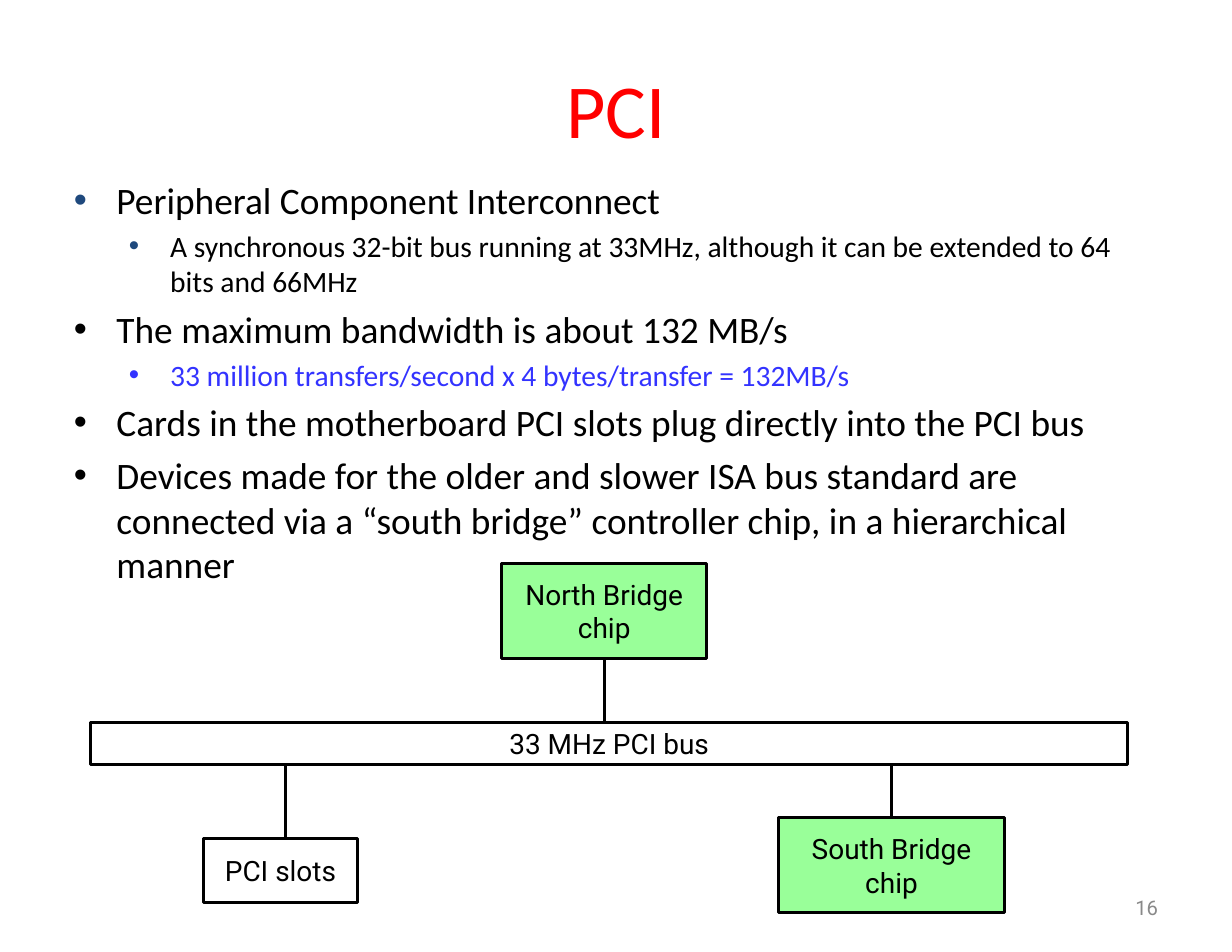
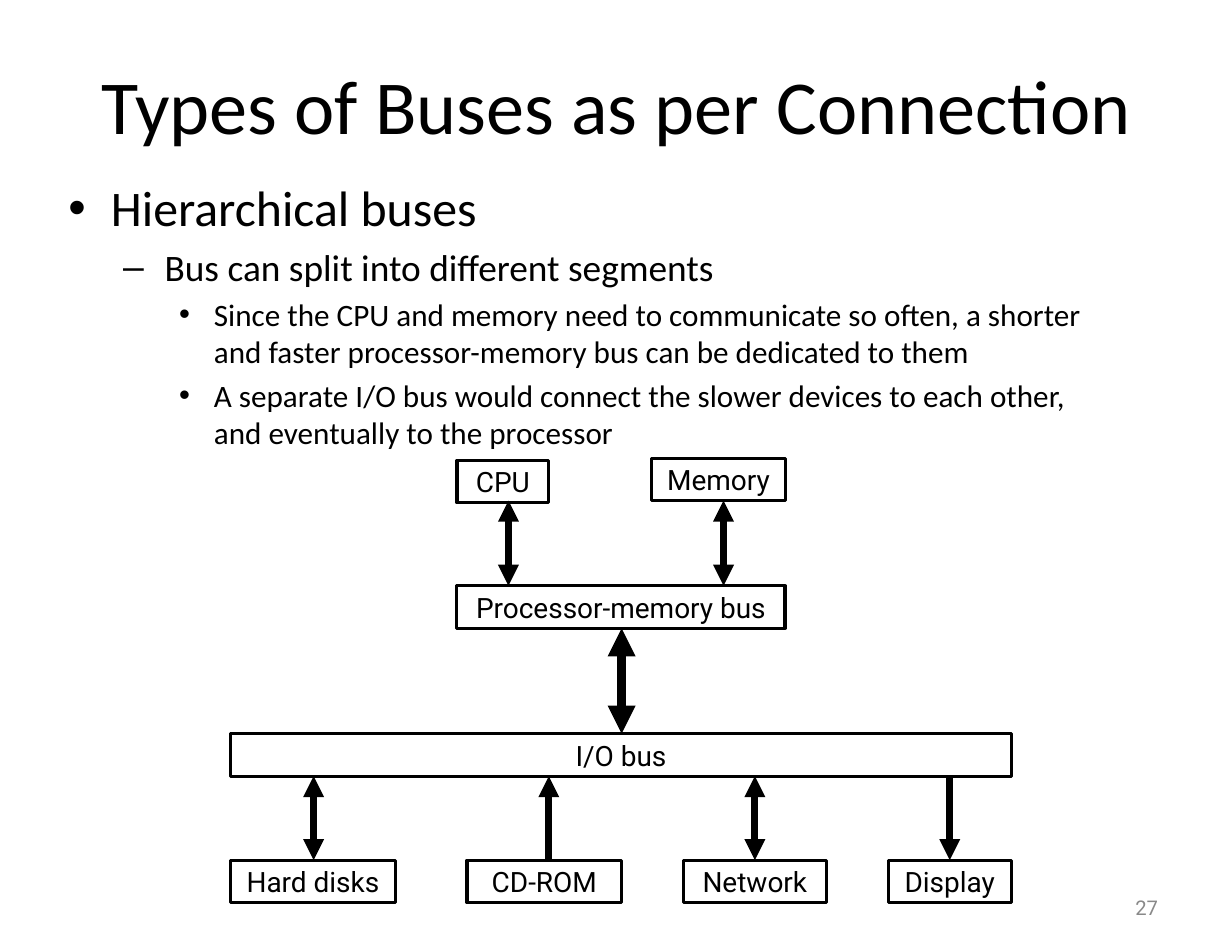
import pptx
import pptx.util
import pptx.dml.color
import pptx.enum.shapes
import pptx.enum.text
import pptx.oxml.ns
import lxml.etree

Inches = pptx.util.Inches
Pt = pptx.util.Pt
ALIGN = pptx.enum.text.PP_ALIGN
MIDDLE = pptx.enum.text.MSO_ANCHOR.MIDDLE
TOP = pptx.enum.text.MSO_ANCHOR.TOP
qn = pptx.oxml.ns.qn

# Shared look
BLACK, RED, BLUE, NAVY = "000000", "FF0000", "3333FF", "1F497D"
GREEN, GREY = "99FF99", "898989"
HEAD, LABEL = "Calibri", "Roboto"
LEVELS = [(0.38, -0.38), (0.86, -0.37), (1.3, -0.31)]


def color(code):
    return pptx.dml.color.RGBColor.from_string(code)


def write(frame, text, size=18, font=LABEL, ink=BLACK, align=ALIGN.CENTER,
          anchor=MIDDLE, pad=(0.1, 0.05), level=0, mark=None, tint=BLACK, gap=0):
    """Add one paragraph to the frame, using its empty first one if there is one."""
    frame.word_wrap = True
    frame.auto_size = pptx.enum.text.MSO_AUTO_SIZE.NONE
    frame.vertical_anchor = anchor
    frame.margin_left = frame.margin_right = Inches(pad[0])
    frame.margin_top = frame.margin_bottom = Inches(pad[1])
    para = frame.paragraphs[0] if not frame.text else frame.add_paragraph()
    para.level = level
    if mark:
        props = para._p.get_or_add_pPr()
        left, hang = LEVELS[level]
        props.set("marL", str(Inches(left)))
        props.set("indent", str(Inches(hang)))
        fill = lxml.etree.SubElement(props, qn("a:buClr"))
        lxml.etree.SubElement(fill, qn("a:srgbClr"), val=tint)
        lxml.etree.SubElement(props, qn("a:buFont"), typeface="Arial")
        lxml.etree.SubElement(props, qn("a:buChar"), char=mark)
    para.alignment = align
    para.space_before = Pt(gap)
    run = para.add_run()
    run.text = text
    run.font.size = Pt(size)
    run.font.name = font
    run.font.color.rgb = color(ink)


# Slide content
# points: text, level, size, mark, mark colour, text colour, space before
# boxes: left, top, width, height, fill, lines of text
# links: x, top, bottom, width, arrow ends
pci = {
    "title": "PCI", "ink": RED, "number": "16",
    "head": (0.55, 0.34, 9.9, 1.25), "body": (0.55, 1.52, 9.9, 6.08),
    "points": [
        ("Peripheral Component Interconnect", 0, 24, "•", NAVY, BLACK, 0),
        ("A synchronous 32-bit bus running at 33MHz, although it can be "
         "extended to 64 bits and 66MHz", 1, 19, "•", NAVY, BLACK, 3.8),
        ("The maximum bandwidth is about 132 MB/s", 0, 24, "•", BLACK, BLACK, 4.8),
        ("33 million transfers/second x 4 bytes/transfer = 132MB/s",
         1, 19, "•", BLUE, BLUE, 3.8),
        ("Cards in the motherboard PCI slots plug directly into the PCI bus",
         0, 24, "•", BLACK, BLACK, 4.8),
        ("Devices made for the older and slower ISA bus standard are connected "
         "via a “south bridge” controller chip, in a hierarchical manner",
         0, 24, "•", BLACK, BLACK, 4.8),
    ],
    "boxes": [
        (4.48, 5.03, 1.83, 0.85, GREEN, ["North Bridge", "chip"]),
        (6.95, 7.3, 2.02, 0.85, GREEN, ["South Bridge", "chip"]),
        (0.81, 6.45, 9.26, 0.38, None, ["33 MHz PCI bus"]),
        (1.82, 7.49, 1.37, 0.57, None, ["PCI slots"]),
    ],
    "links": [
        (7.96, 6.83, 7.3, 2, []),
        (2.55, 6.83, 7.49, 2, []),
        (5.4, 5.88, 6.45, 2, []),
    ],
}

up, down, both = ["headEnd"], ["tailEnd"], ["headEnd", "tailEnd"]
low, base, high = 6.93, 7.68, 0.38
buses = {
    "title": "Types of Buses as per Connection", "ink": BLACK, "number": "27",
    "head": (0.55, 0.34, 9.9, 1.18), "body": (0.5, 1.52, 9.38, 5.7),
    "points": [
        ("Hierarchical buses", 0, 32, "•", BLACK, BLACK, 0),
        ("Bus can split into different segments", 1, 24, "–", BLACK, BLACK, 4.8),
        ("Since the CPU and memory need to communicate so often, a shorter and "
         "faster processor-memory bus can be dedicated to them",
         2, 20, "•", BLACK, BLACK, 4),
        ("A separate I/O bus would connect the slower devices to each other, "
         "and eventually to the processor", 2, 20, "•", BLACK, BLACK, 4),
    ],
    "boxes": [
        (4.08, 4.11, 0.82, high, None, ["CPU"]),
        (5.82, 4.09, 1.19, high, None, ["Memory"]),
        (4.08, 5.23, 2.93, high, None, ["Processor-memory bus"]),
        (2.06, 6.55, 6.97, high, None, ["I/O bus"]),
    ],
    "links": [
        (5.55, 5.61, 6.55, 6, both),
        (4.54, 4.47, 5.23, 4.5, both),
        (6.46, 4.47, 5.23, 4.5, both),
    ],
}

# Devices under the I/O bus, each with its own link
for name, left, width, x, ends in [
    ("Hard disks", 2.06, 1.47, 2.8, both),
    ("CD-ROM", 4.17, 1.38, 4.9, up),
    ("Network", 6.1, 1.28, 6.74, both),
    ("Display", 7.93, 1.1, 8.48, down),
]:
    buses["boxes"].append((left, base, width, high, None, [name]))
    buses["links"].append((x, low, base, 4.5, ends))

deck = pptx.Presentation()
deck.slide_width = Inches(11)
deck.slide_height = Inches(8.5)

for page in [pci, buses]:
    slide = deck.slides.add_slide(deck.slide_layouts[1])
    shapes = slide.shapes

    # Title and list
    title, body = shapes.title, slide.placeholders[1]
    for holder, place in [(title, page["head"]), (body, page["body"])]:
        holder.left, holder.top, holder.width, holder.height = map(Inches, place)
    write(title.text_frame, page["title"], size=49, font=HEAD,
          ink=page["ink"], pad=(0.11, 0.06))
    for text, level, size, mark, tint, ink, gap in page["points"]:
        write(body.text_frame, text, size=size, font=HEAD, ink=ink,
              align=ALIGN.LEFT, anchor=TOP, pad=(0.11, 0.06),
              level=level, mark=mark, tint=tint, gap=gap)

    # Page number
    number = shapes.add_textbox(*map(Inches, (7.88, 7.88, 2.57, 0.45)))
    write(number.text_frame, page["number"], size=13, ink=GREY,
          align=ALIGN.RIGHT, pad=(0.11, 0.06))

    # Links
    for x, top, bottom, width, ends in page["links"]:
        link = shapes.add_connector(
            pptx.enum.shapes.MSO_CONNECTOR.STRAIGHT,
            Inches(x), Inches(top), Inches(x), Inches(bottom))
        link.line.width = Pt(width)
        link.line.color.rgb = color(BLACK)
        stroke = link.line._get_or_add_ln()
        for end in ends:
            lxml.etree.SubElement(stroke, qn("a:" + end), type="triangle")
        lxml.etree.SubElement(link._element.spPr, qn("a:effectLst"))

    # Boxes
    for left, top, width, height, fill, lines in page["boxes"]:
        box = shapes.add_shape(
            pptx.enum.shapes.MSO_SHAPE.RECTANGLE,
            Inches(left), Inches(top), Inches(width), Inches(height))
        box.shadow.inherit = False
        box.line.color.rgb = color(BLACK)
        box.line.width = Pt(2)
        if fill:
            box.fill.solid()
            box.fill.fore_color.rgb = color(fill)
        else:
            box.fill.background()
        for line in lines:
            write(box.text_frame, line)

deck.save("out.pptx")
